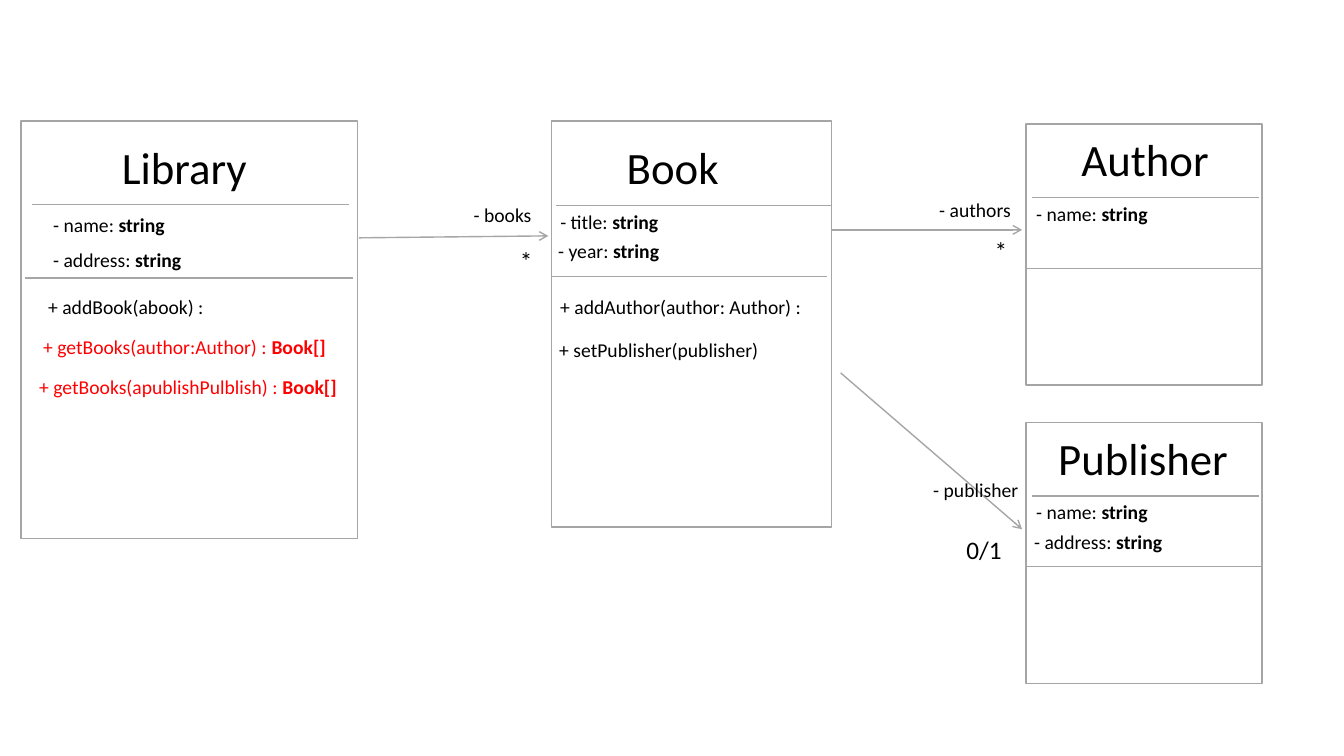
from pptx import Presentation
from pptx.dml.color import RGBColor
from pptx.enum.shapes import MSO_CONNECTOR as Conn, MSO_SHAPE as Kind
from pptx.oxml.ns import qn
from pptx.util import Pt
from lxml.etree import SubElement

HUES = {"ink": "000000", "red": "FF0000", "edge": "A5A5A5",
        "rule": "A6A6A6", "paper": "FFFFFF"}
HIGH = {14: 24.5, 18: 28.8, 32: 46.1}  # text box height by font size
SIDE = {"size": (168.5, 186.5),
        "rules": [(4.3, 166.3, 52.6), (0.7, 168.5, 103)]}

# Inside a class all places count from its top left corner.
# title: text, x, y, width; rules: x1, x2, y
# rows: text, bold type, x, y, width, hue
CLASSES = [
    {"at": (15.1, 86.4), "size": (240.5, 298.1),
     "title": ("Library", 64.8, 10, 105.8),
     "rules": [(8, 234, 59.8), (2.9, 236.9, 112.3)],
     "rows": [
         ("- name: ", "string", 15.8, 61.9, 95, "ink"),
         ("- address: ", "string", 15.8, 87.1, 106.6, "ink"),
         ("+ addBook(abook) :", "", 12.2, 121, 126, "ink"),
         ("+ getBooks(author:Author) : ", "Book[]", 8.6, 149, 218.2, "red"),
         ("+ getBooks(apublishPulblish) : ", "Book[]", 5.8, 177.8, 229, "red"),
     ]},
    {"at": (393.8, 86.4), "size": (200.2, 290.2),
     "title": ("Book", 46.8, 10, 80.6),
     "rules": [(3.6, 200.2, 60.5), (0, 196.6, 110.9)],
     "rows": [
         ("- title: ", "string", -0.7, 59.8, 85.7, "ink"),
         ("- year: ", "string", -2.2, 80.6, 87.1, "ink"),
         ("+ addAuthor(author: Author) :", "", -0.7, 121, 190.1, "ink"),
         ("+ setPublisher(publisher)", "", -1.4, 151.2, 160, "ink"),
     ]},
    {"at": (733, 88.6), **SIDE,
     "title": ("Author", 32.4, 2.2, 106.6),
     "rows": [("- name: ", "string", 0, 51.8, 95, "ink")]},
    {"at": (733, 301.7), **SIDE,
     "title": ("Publisher", 15.8, 2.2, 136.8),
     "rows": [
         ("- name: ", "string", 0, 51.8, 95, "ink"),
         ("- address: ", "string", -1.4, 73.4, 106.6, "ink"),
     ]},
]
# ends: x1, y1, x2, y2; role and count: text, x, y, width
LINKS = [
    {"ends": (256.3, 169.9, 391.7, 168.5),
     "role": ("- books", 331.2, 141.1, 56.2),
     "count": ("*", 364.3, 171.4, 23.8)},
    {"ends": (594, 164.2, 730.1, 164.2),
     "role": ("- authors", 663.8, 137.5, 66.2),
     "count": ("*", 703.4, 164.9, 23.8)},
    {"ends": (600.5, 266.4, 730.1, 378),
     "role": ("- publisher", 659.5, 337.7, 75.6),
     "count": ("0/1", 683.3, 378, 40.3)},
]


def color(name):
    """Return the named hue as a color."""
    return RGBColor.from_string(HUES[name])


def write(text, x, y, wide, size=14, bold="", hue="ink"):
    """Add one line of text, with an optional bold ending."""
    box = shapes.add_textbox(Pt(x), Pt(y), Pt(wide), Pt(HIGH[size]))
    box.text_frame.word_wrap = False
    para = box.text_frame.paragraphs[0]
    for part, heavy in ((text, False), (bold, True)):
        if part:
            run = para.add_run()
            run.text = part
            look = {"name": "Calibri", "size": Pt(size), "bold": heavy}
            for key, value in look.items():
                setattr(run.font, key, value)
            run.font.color.rgb = color(hue)


def draw(x1, y1, x2, y2, arrow=False):
    """Add a thin line, with an open arrowhead if asked."""
    line = shapes.add_connector(Conn.STRAIGHT, Pt(x1), Pt(y1), Pt(x2), Pt(y2))
    line.line.color.rgb = color("rule")
    line.line.width = Pt(1)
    if arrow:
        SubElement(line.line._get_or_add_ln(), qn("a:tailEnd"), type="arrow")
    SubElement(line._element.spPr, qn("a:effectLst"))


def build(item):
    """Add a class box with its title, rules and members."""
    left, top = item["at"]
    box = shapes.add_shape(Kind.RECTANGLE, *map(Pt, item["at"] + item["size"]))
    box.shadow.inherit = False
    box.fill.solid()
    box.fill.fore_color.rgb = color("paper")
    box.line.color.rgb = color("edge")
    box.line.width = Pt(1)
    text, x, y, wide = item["title"]
    write(text, left + x, top + y, wide, 32)
    for x1, x2, y in item["rules"]:
        draw(left + x1, top + y, left + x2, top + y)
    for text, bold, x, y, wide, hue in item["rows"]:
        write(text, left + x, top + y, wide, bold=bold, hue=hue)


deck = Presentation()
deck.slide_width, deck.slide_height = Pt(960), Pt(540)
shapes = deck.slides.add_slide(deck.slide_layouts[6]).shapes
for item in CLASSES:
    build(item)
for link in LINKS:
    draw(*link["ends"], arrow=True)
    write(*link["role"])
    write(*link["count"], size=18)
deck.save("out.pptx")
